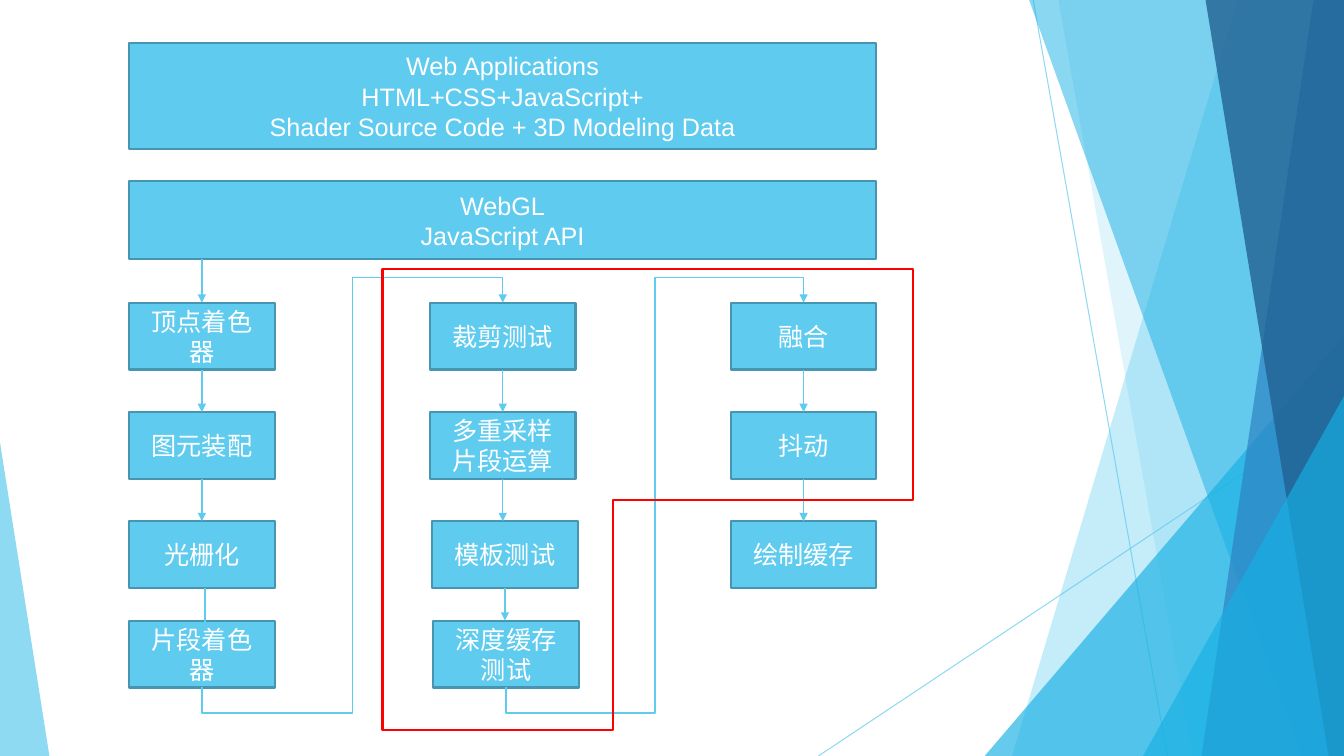
from dataclasses import dataclass
from itertools import pairwise

from lxml.etree import SubElement
from pptx import Presentation
from pptx.dml.color import RGBColor as RGB
from pptx.enum.shapes import MSO_CONNECTOR as CONN, MSO_SHAPE as SHAPE
from pptx.enum.text import MSO_ANCHOR as ANCHOR, PP_ALIGN as ALIGN
from pptx.oxml.ns import qn
from pptx.util import Pt


@dataclass(frozen=True)
class Theme:
    sky: str = "5FCBEF"
    cyan: str = "17B0E4"
    blue: str = "2E83C3"
    navy: str = "226292"
    border: str = "4696B1"
    red: str = "FF0000"
    white: str = "FFFFFF"
    font: str = "Arial"
    size: float = 18
    border_width: float = 1.5
    arrow_width: float = 1
    hairline: float = 0.75


@dataclass(frozen=True)
class Shard:  # band from top to bottom edge, filled to the right edge
    top_x: float
    bottom_x: float
    color: str
    alpha: int


@dataclass(frozen=True)
class Wedge:  # right triangle on the bottom edge, apex 0 (left) or 1 (right)
    left: float
    top: float
    width: float
    apex: int
    color: str
    alpha: int


@dataclass(frozen=True)
class Box:
    left: float
    top: float
    width: float
    height: float
    lines: tuple[str, ...]

    @property
    def center(self) -> float:
        return self.left + self.width / 2

    @property
    def bottom(self) -> float:
        return self.top + self.height


T = Theme()
W, H = 960, 540
HAIRLINES = [(738, 0, 833.8, H), (W, 290.2, 584.6, H)]
DECOR = [
    Shard(884.2, 722.9, T.sky, 36),
    Shard(756, 851.8, T.sky, 20),
    Wedge(703.4, 239.8, 256.6, 1, T.cyan, 66),
    Shard(735.1, 929.5, T.cyan, 50),
    Shard(938.2, 858.2, T.blue, 70),
    Shard(861.1, 949, T.navy, 80),
    Wedge(816.5, 283, 143.5, 1, T.cyan, 66),
    Wedge(0, 316.1, 35.3, 0, T.sky, 70),
]
LEFT, COLUMN_STEP = 92.2, 214.9
BANNER_W, BOX_W, BOX_H = 533.6, 104, 47.8
ROWS = (216.2, 294.3, 372.3, 443.3)
BANNERS = [
    Box(LEFT, 30.7, BANNER_W, 75.9, ("Web Applications", "HTML+CSS+JavaScript+",
                                     "Shader Source Code + 3D Modeling Data")),
    Box(LEFT, 129.4, BANNER_W, 55.6, ("WebGL", "JavaScript API")),
]
STAGES = [
    ("顶点着色器", "图元装配", "光栅化", "片段着色器"),
    ("裁剪测试", "多重采样片段运算", "模板测试", "深度缓存测试"),
    ("融合", "抖动", "绘制缓存"),
]
NUDGES = [(0, 0, 0, 0), (0, 0, 1.6, 2.4), (0, 0, 0)]
COLUMNS = [
    [Box(LEFT + c * COLUMN_STEP + dx, top, BOX_W, BOX_H, (name,))
     for name, dx, top in zip(names, dxs, ROWS)]
    for c, (names, dxs) in enumerate(zip(STAGES, NUDGES))
]
FRAME = [(273.2, 192.3), (652, 192.3), (652, 357), (437.9, 357), (437.9, 521.4), (273.2, 521.4)]


def set_alpha(sp, alpha: int) -> None:
    color = next(sp._element.spPr.iter(qn("a:srgbClr")))
    SubElement(color, qn("a:alpha"), val=str(alpha * 1000))


def fill(sp, color: str) -> None:
    sp.shadow.inherit = False
    sp.fill.solid()
    sp.fill.fore_color.rgb = RGB.from_string(color)


def outline(sp, color: str, width: float) -> None:
    sp.line.color.rgb = RGB.from_string(color)
    sp.line.width = Pt(width)


def draw_polygon(shapes, points: list[tuple[float, float]]):
    start, *rest = [(Pt(x), Pt(y)) for x, y in points]
    return shapes.build_freeform(*start).add_line_segments(rest).convert_to_shape()


def draw_decor(shapes, d: Shard | Wedge) -> None:
    if isinstance(d, Shard):
        sp = draw_polygon(shapes, [(d.top_x, 0), (W, 0), (W, H), (d.bottom_x, H)])
    else:
        sp = shapes.add_shape(SHAPE.ISOSCELES_TRIANGLE, Pt(d.left), Pt(d.top),
                              Pt(d.width), Pt(H - d.top))
        sp.adjustments[0] = d.apex
    fill(sp, d.color)
    set_alpha(sp, d.alpha)
    sp.line.fill.background()


def draw_box(shapes, b: Box) -> None:
    sp = shapes.add_shape(SHAPE.RECTANGLE, Pt(b.left), Pt(b.top), Pt(b.width), Pt(b.height))
    fill(sp, T.sky)
    outline(sp, T.border, T.border_width)
    tf = sp.text_frame
    tf.text = "\n".join(b.lines)
    for name, value in {"word_wrap": True, "vertical_anchor": ANCHOR.MIDDLE}.items():
        setattr(tf, name, value)
    for p in tf.paragraphs:
        p.alignment = ALIGN.CENTER
        r = p.runs[0]
        for name, value in {"name": T.font, "size": Pt(T.size)}.items():
            setattr(r.font, name, value)
        r.font.color.rgb = RGB.from_string(T.white)


def draw_line(shapes, x1: float, y1: float, x2: float, y2: float, width: float,
              kind: CONN = CONN.STRAIGHT, arrow: bool = True):
    c = shapes.add_connector(kind, Pt(x1), Pt(y1), Pt(x2), Pt(y2))
    outline(c, T.sky, width)
    sp_pr = c._element.spPr
    SubElement(sp_pr, qn("a:effectLst"))
    if arrow:
        SubElement(sp_pr.find(qn("a:ln")), qn("a:tailEnd"), type="triangle")
    return c


def draw_return(shapes, last: Box, first: Box) -> None:
    cx, cy = (last.center + first.center) / 2, (last.bottom + first.top) / 2
    dx, dy = (last.bottom - first.top) / 2, (first.center - last.center) / 2
    c = draw_line(shapes, cx + dx, cy + dy, cx - dx, cy - dy, T.arrow_width, CONN.ELBOW)
    sp_pr = c._element.spPr
    sp_pr.find(qn("a:xfrm")).set("rot", "5400000")  # quarter turn: leaves downwards
    geom = sp_pr.find(qn("a:prstGeom"))
    geom.set("prst", "bentConnector5")
    for i, value in enumerate((-6600, 50000, 106600), 1):
        SubElement(geom.find(qn("a:avLst")), qn("a:gd"), name=f"adj{i}", fmla=f"val {value}")


prs = Presentation()
prs.slide_width, prs.slide_height = Pt(W), Pt(H)
shapes = prs.slides.add_slide(prs.slide_layouts[6]).shapes
# Background decoration
for ends in HAIRLINES:
    set_alpha(draw_line(shapes, *ends, T.hairline, arrow=False), 70)
for d in DECOR:
    draw_decor(shapes, d)
# Banners and pipeline stages
for b in BANNERS + [b for column in COLUMNS for b in column]:
    draw_box(shapes, b)
# Arrows down each column; the one into the fragment shader ends inside its box
for column in ([BANNERS[1], *COLUMNS[0]], *COLUMNS[1:]):
    for a, b in pairwise(column):
        dx, dy = (2.2, 7.4) if b is COLUMNS[0][-1] else (0, 0)
        x = min(a.center, b.center) + dx
        draw_line(shapes, x, a.bottom, x, b.top + dy, T.arrow_width)
for column, following in pairwise(COLUMNS):
    draw_return(shapes, column[-1], following[0])
# Red frame around the per-fragment operations
sp = draw_polygon(shapes, FRAME)
sp.shadow.inherit = False
sp.fill.background()
outline(sp, T.red, T.border_width)
prs.save("out.pptx")
